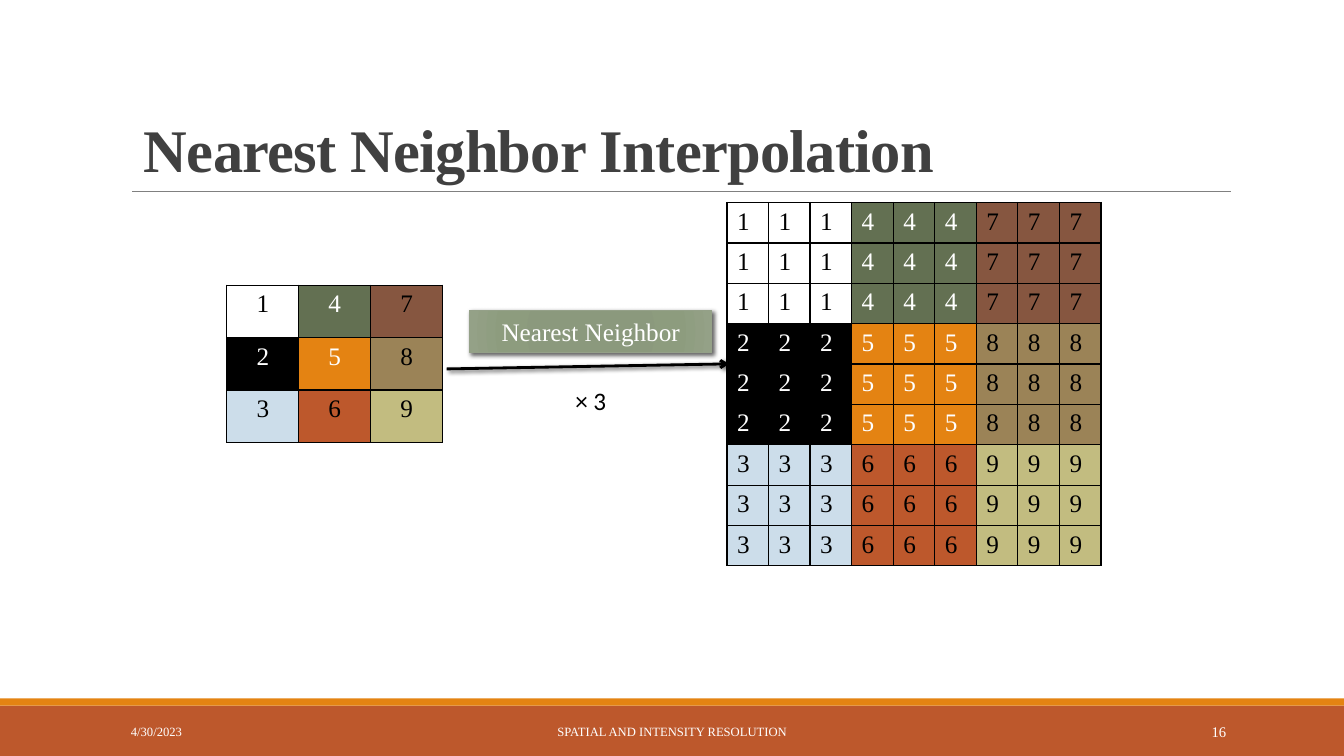
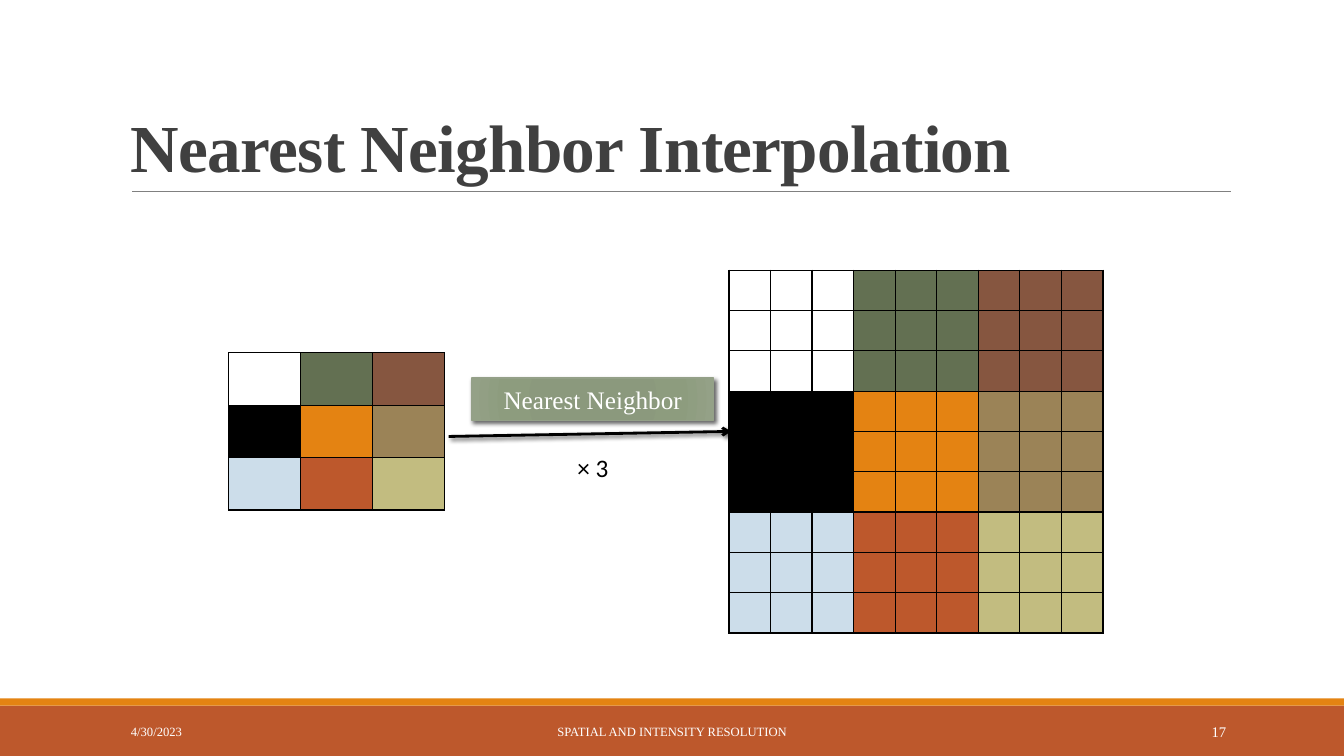
from lxml import etree
from pptx import Presentation
from pptx.dml import color
from pptx.enum import shapes, text
from pptx.oxml import ns, parse_xml
from pptx.util import Pt

PX = 9144
SERIF = "Times New Roman"
WHITE, BLACK, RUST, AMBER = "FFFFFF", "000000", "BD582C", "E48312"
INK, RULE, SAGE = "404040", "808080", "94A088"
GLOW = ((0, "8A987B"), (34, "8B997D"), (70, "8D9C7E"), (100, "94A187"))
TILES = (
    (WHITE, "637052", "865640"),
    (BLACK, AMBER, "9B8357"),
    ("CCDDEA", RUST, "C2BC80"),
)
PALE = (2, 4, 5)
LEFT, MID, RIGHT = text.PP_ALIGN.LEFT, text.PP_ALIGN.CENTER, text.PP_ALIGN.RIGHT
TOP, CENTER, BASE = (
    text.MSO_ANCHOR.TOP, text.MSO_ANCHOR.MIDDLE, text.MSO_ANCHOR.BOTTOM)


def px(*vals):
    """Turn pixel lengths into EMU."""
    return [v * PX for v in vals]


def rgb(code):
    """Turn a hex string into a colour."""
    return color.RGBColor.from_string(code)


def node(tag, body="", **attrs):
    """Build a DrawingML element."""
    extra = "".join(f' {key}="{val}"' for key, val in attrs.items())
    return parse_xml(f'<a:{tag} {ns.nsdecls("a")}{extra}>{body}</a:{tag}>')


def paint(code, body=""):
    """Give the XML of a hex colour."""
    return f'<a:srgbClr val="{code}">{body}</a:srgbClr>'


def write(frame, words, size=18, font=SERIF, ink=BLACK, bold=False,
          align=LEFT, lead=None, track=None):
    """Put one formatted line into a text frame."""
    para = frame.paragraphs[0]
    para.alignment = align
    if lead:
        para.line_spacing = lead
    run = para.add_run()
    run.text = words
    run.font.name, run.font.size, run.font.bold = font, Pt(size), bold
    run.font.color.rgb = rgb(ink)
    if track:
        run.font._element.set("spc", str(track))


def label(slide, words, at, anchor=TOP, **style):
    """Add a wrapping text box."""
    frame = slide.shapes.add_textbox(*px(*at)).text_frame
    frame.word_wrap = True
    frame.vertical_anchor = anchor
    write(frame, words, **style)


def block(slide, at, fill=None):
    """Add a plain rectangle without a shadow."""
    rect = slide.shapes.add_shape(shapes.MSO_SHAPE.RECTANGLE, *px(*at))
    rect.shadow.inherit = False
    rect.line.fill.background()
    if fill:
        rect.fill.solid()
        rect.fill.fore_color.rgb = rgb(fill)
    return rect


def stroke(slide, ends, ink, width):
    """Add a straight line without a shadow."""
    line = slide.shapes.add_connector(
        shapes.MSO_CONNECTOR.STRAIGHT, *px(*ends))
    line.line.color.rgb = rgb(ink)
    line.line.width = Pt(width)
    line._element.spPr.append(node("effectLst"))
    return line


def shade(shape):
    """Cast a soft shadow down to the right."""
    soft = paint(BLACK, '<a:alpha val="60000"/>')
    shape._element.spPr.find(ns.qn("a:effectLst")).append(node(
        "outerShdw", soft, blurRad=Pt(3), dist=Pt(2), dir=45 * 60000))


def badge(slide, words, at):
    """Add a glowing label with a shadow."""
    rect = block(slide, at)
    rect.line.color.rgb = rgb(SAGE)
    rect.line.width = Pt(1)
    stops = "".join(
        f'<a:gs pos="{pos * 1000}">{paint(code)}</a:gs>' for pos, code in GLOW)
    edges = " ".join(f'{side}="100000"' for side in "ltrb")
    glow = node("gradFill", f"<a:gsLst>{stops}</a:gsLst>"
                f'<a:path path="circle"><a:fillToRect {edges}/></a:path>')
    rect._element.spPr.insert(2, glow)
    shade(rect)
    write(rect.text_frame, words, ink=WHITE, align=MID)


def arrow(slide, ends):
    """Add a shadowed arrow."""
    line = stroke(slide, ends, BLACK, 2)
    etree.SubElement(line.line._ln, ns.qn("a:tailEnd")).set("type", "arrow")
    shade(line)


def edge(cell):
    """Rule all four sides of a cell."""
    props = cell._tc.get_or_add_tcPr()
    for spot, side in enumerate("LRTB"):
        props.insert(spot, node(
            f"ln{side}", f"<a:solidFill>{paint(BLACK)}</a:solidFill>",
            w=Pt(1)))


def grid(slide, at, zoom, shown, align):
    """Add the pixel table with each tile repeated zoom times."""
    count = 3 * zoom
    table = slide.shapes.add_table(count, count, *px(*at)).table
    table.first_row = table.horz_banding = False
    for col in table.columns:
        col.width = at[2] * PX // count
    for row in table.rows:
        row.height = at[3] * PX // count
    for y in range(count):
        for x in range(count):
            down, over = y // zoom, x // zoom
            cell = table.cell(y, x)
            cell.fill.solid()
            cell.fill.fore_color.rgb = rgb(TILES[down][over])
            edge(cell)
            if shown:
                value = 3 * over + down + 1
                write(cell.text_frame, str(value), align=align,
                      ink=WHITE if value in PALE else BLACK)
            else:
                cell.margin_top = cell.margin_bottom = 0


def base(deck, page, at, size):
    """Add a slide with its title, bands and footer."""
    slide = deck.slides.add_slide(deck.slide_layouts[6])
    block(slide, (0, 700, 1334, 50), RUST)
    block(slide, (0, 693, 1334, 7), AMBER)
    stroke(slide, (131, 190, 1221, 190), RULE, 0.5)
    label(slide, "Nearest Neighbor Interpolation", at, anchor=BASE,
          size=size, ink=INK, bold=True, lead=0.85, track=-50)
    for words, left, wide, align, small in (
            ("4/30/2023", 120, 270, LEFT, 9),
            ("SPATIAL AND INTENSITY RESOLUTION", 403, 527, MID, 9),
            (str(page), 1083, 143, RIGHT, 10.5)):
        label(slide, words, (left, 706, wide, 40), anchor=CENTER,
              size=small, ink=WHITE, align=align)
    return slide


def scene(slide, x, y, shown):
    """Draw the small grid, the arrow and the enlarged grid."""
    grid(slide, (x, y, 214, 156), 1, shown, MID)
    badge(slide, "Nearest Neighbor", (x + 241, y + 25, 240, 42))
    label(slide, "× 3", (x + 263, y + 94, 196, 40), font="Calibri", align=MID)
    grid(slide, (x + 496, y - 82, 371, 360), 3, shown, LEFT)
    arrow(slide, (x + 218, y + 83, x + 498, y + 78))


def main():
    """Build and save both slides."""
    deck = Presentation()
    deck.slide_width, deck.slide_height = px(1333, 750)
    scene(base(deck, 16, (133, 129, 900, 59), 43.2), 225, 283, True)
    scene(base(deck, 17, (120, 31, 1100, 159), 48), 227, 350, False)
    deck.save("out.pptx")


if __name__ == "__main__":
    main()
